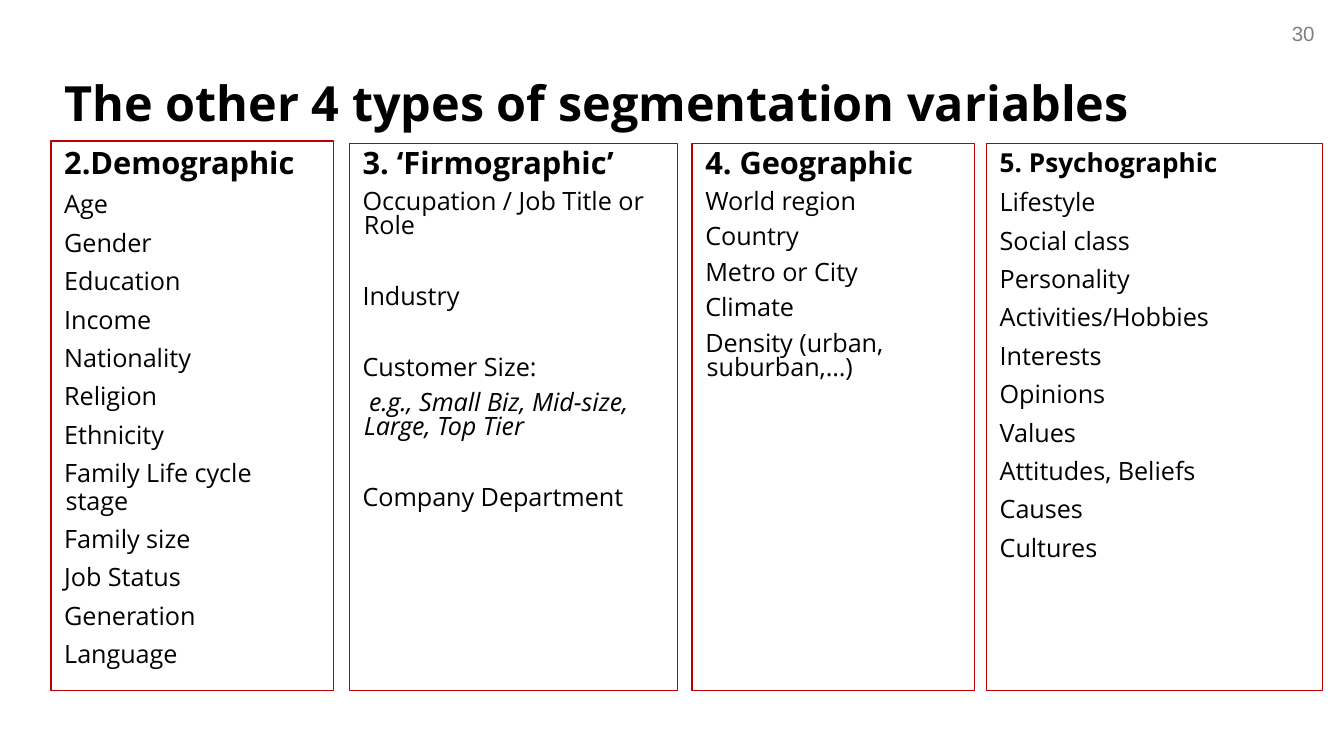
import pptx
import pptx.dml.color
import pptx.enum.shapes
import pptx.enum.text
import pptx.util

Inches = pptx.util.Inches
Pt = pptx.util.Pt
ALIGN = pptx.enum.text.PP_ALIGN

COLUMNS = [
    {
        "box": (0.38, 1.05, 2.1, 4.09),
        "heading": "2.Demographic",
        "items": ["Age", "Gender", "Education", "Income", "Nationality", "Religion",
                  "Ethnicity", "Family Life cycle stage", "Family size", "Job Status",
                  "Generation", "Language"],
    },
    {
        "box": (2.6, 1.07, 2.44, 4.07),
        "heading": "3. ‘Firmographic’",
        "items": ["Occupation / Job Title or Role", "Industry", "Customer Size:",
                  " e.g., Small Biz, Mid-size, Large, Top Tier", "Company Department"],
        "line_spacing": 0.8,
        "spaced": ("Industry", "Customer Size:", "Company Department"),
    },
    {
        "box": (5.15, 1.07, 2.1, 4.07),
        "heading": "4. Geographic",
        "items": ["World region", "Country", "Metro or City", "Climate",
                  "Density (urban, suburban,…)"],
        "line_spacing": 0.8,
    },
    {
        "box": (7.34, 1.07, 2.5, 4.07),
        "heading": "5. Psychographic",
        "items": ["Lifestyle", "Social class", "Personality", "Activities/Hobbies",
                  "Interests", "Opinions", "Values", "Attitudes, Beliefs", "Causes",
                  "Cultures"],
        "heading_size": 14,
        "heading_space": 3,
    },
]


def rgb(color):
    """Return the colour for a hex string."""
    return pptx.dml.color.RGBColor.from_string(color)


def add_text(frame, text, size, font="Open Sans", color="000000", bold=False,
             italic=False, align=ALIGN.LEFT, before=0, line_spacing=1.0, hanging=0):
    """Add one formatted paragraph, using the first one while it is empty."""
    paragraph = frame.paragraphs[0]
    if paragraph.runs:
        paragraph = frame.add_paragraph()
    paragraph.alignment = align
    paragraph.space_before = Pt(before)
    paragraph.line_spacing = line_spacing
    if hanging:
        properties = paragraph._p.get_or_add_pPr()
        properties.set("marL", str(Inches(hanging)))
        properties.set("indent", str(-Inches(hanging)))
    run = paragraph.add_run()
    run.text = text
    run.font.name = font
    run.font.size = Pt(size)
    run.font.bold = bold
    run.font.italic = italic
    run.font.color.rgb = rgb(color)


def add_label(slide, box, text, size, **text_format):
    """Add a text box holding a single line."""
    frame = slide.shapes.add_textbox(*map(Inches, box)).text_frame
    frame.word_wrap = True
    add_text(frame, text, size, **text_format)


def add_column(slide, box, heading, items, line_spacing=0.9, spaced=(),
               heading_size=16.5, heading_space=6):
    """Add an outlined column with a bold heading above its items."""
    shape = slide.shapes.add_shape(
        pptx.enum.shapes.MSO_SHAPE.RECTANGLE, *map(Inches, box))
    shape.shadow.inherit = False
    shape.fill.solid()
    shape.fill.fore_color.rgb = rgb("FFFFFF")
    shape.line.color.rgb = rgb("BB0000")
    shape.line.width = Pt(0.75)
    frame = shape.text_frame
    frame.word_wrap = True
    frame.vertical_anchor = pptx.enum.text.MSO_ANCHOR.TOP
    add_text(frame, heading, heading_size, bold=True, before=heading_space,
             line_spacing=line_spacing, hanging=0.01)
    for item in items:
        add_text(frame, item, 13.5, italic=item.startswith(" e.g."),
                 before=25 if item in spaced else 6,
                 line_spacing=line_spacing, hanging=0.01)


def main():
    """Build the slide and save it."""
    presentation = pptx.Presentation()
    presentation.slide_width = Inches(10)
    presentation.slide_height = presentation.slide_width * 9 // 16
    slide = presentation.slides.add_slide(presentation.slide_layouts[6])
    add_label(slide, (9.33, 0.11, 0.55, 0.29), "30", 11, font="Arial",
              color="808080", align=ALIGN.RIGHT)
    add_label(slide, (0.38, 0.49, 8.67, 0.85),
              "The other 4 types of segmentation variables", 26, bold=True)
    for column in COLUMNS:
        add_column(slide, **column)
    presentation.save("out.pptx")


if __name__ == "__main__":
    main()
